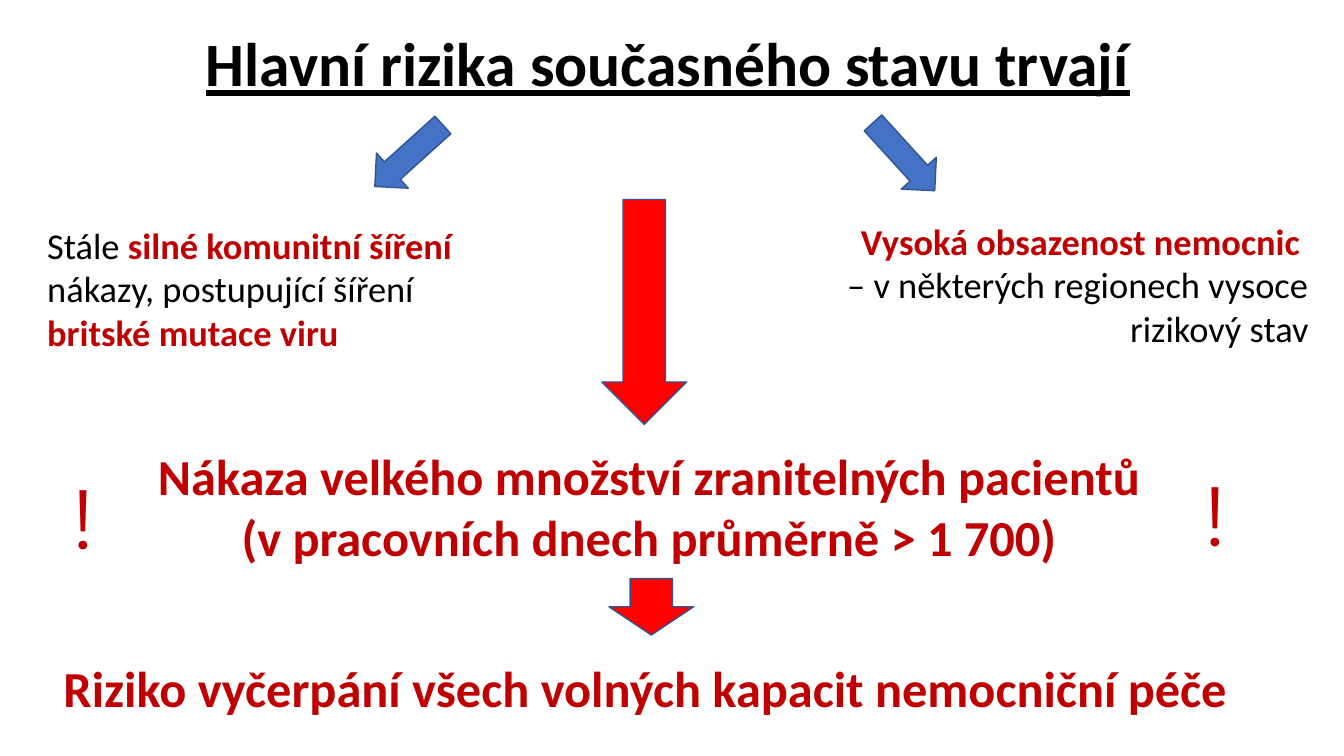
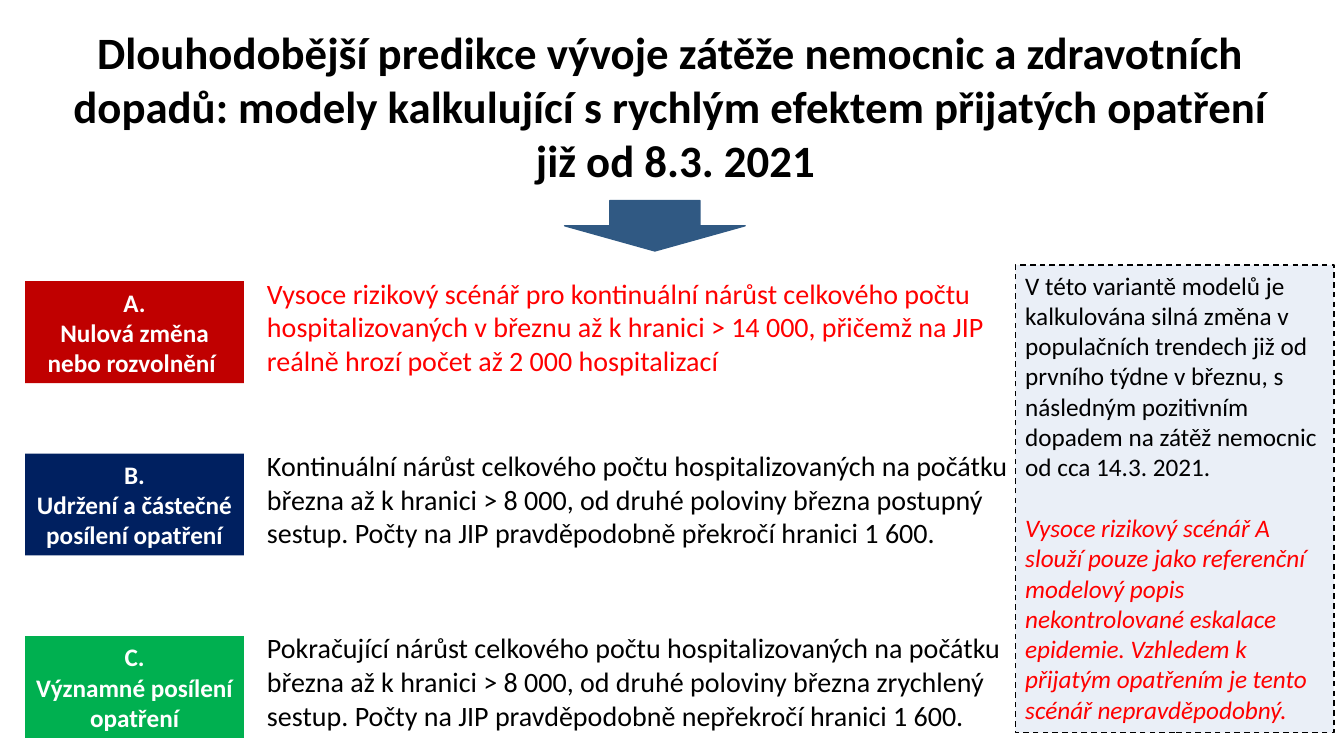
"""Build two slides on epidemic risks and hospital load scenarios."""
from pptx import Presentation
from pptx.dml.color import RGBColor
from pptx.enum.dml import MSO_LINE
from pptx.enum.shapes import MSO_SHAPE
from pptx.enum.text import MSO_ANCHOR, PP_ALIGN
from pptx.util import Inches, Pt

COLORS = {
    "black": "000000", "white": "FFFFFF", "dark red": "C00000", "red": "FF0000",
    "blue": "4472C4", "outline": "325491", "steel": "305983",
    "navy": "002060", "green": "00B050", "pale": "EAEFF7",
}
LEFT, CENTER, RIGHT = PP_ALIGN.LEFT, PP_ALIGN.CENTER, PP_ALIGN.RIGHT


def add_shape(slide, kind, box, fill, line=None):
    shape = slide.shapes.add_shape(kind, *map(Inches, box))
    shape.shadow.inherit = False
    shape.fill.solid()
    shape.fill.fore_color.rgb = RGBColor.from_string(COLORS[fill])
    if line:
        shape.line.color.rgb = RGBColor.from_string(COLORS[line])
        shape.line.width = Pt(1)
    else:
        shape.line.fill.background()
    return shape


def write_text(shape, paragraphs, size, align=LEFT, font="Calibri"):
    frame = shape.text_frame
    frame.word_wrap = True
    for index, runs in enumerate(paragraphs):
        paragraph = frame.add_paragraph() if index else frame.paragraphs[0]
        paragraph.alignment = align
        for text, color, style in runs:
            run = paragraph.add_run()
            run.text = text
            run.font.name = font
            run.font.size = Pt(size)
            run.font.color.rgb = RGBColor.from_string(COLORS[color])
            run.font.bold = "b" in style
            run.font.italic = "i" in style
            run.font.underline = "u" in style


presentation = Presentation()
presentation.slide_width = Inches(13.33)
presentation.slide_height = Inches(7.5)
blank = presentation.slide_layouts[6]

risks = presentation.slides.add_slide(blank)
risk_arrows = [
    ((3.82, 1.09, 0.47, 0.91), 47.9, "blue"),
    ((8.73, 1.1, 0.47, 0.91), 317.7, "blue"),
    ((5.97, 1.98, 0.84, 2.23), 0, "red"),
    ((6.04, 5.74, 0.84, 0.56), 0, "red"),
]
for box, rotation, color in risk_arrows:
    arrow = add_shape(risks, MSO_SHAPE.DOWN_ARROW, box, color, "outline")
    arrow.rotation = rotation

risk_texts = [
    ((0.17, 0.2, 12.91, 0.84), 44, CENTER,
     [[("Hlavní rizika současného stavu trvají", "black", "bu")]]),
    ((0.37, 2.16, 4.51, 1.41), 26, LEFT,
     [[("Stále ", "black", ""),
       ("silné komunitní šíření ", "dark red", "b"),
       ("nákazy, postupující šíření ", "black", ""),
       ("britské mutace viru", "dark red", "b")]]),
    ((7.75, 2.12, 5.33, 1.41), 26, RIGHT,
     [[("Vysoká obsazenost nemocnic ", "dark red", "b")],
      [("– v některých regionech vysoce rizikový stav", "black", "")]]),
    ((1.24, 4.37, 10.4, 1.31), 36, CENTER,
     [[("Nákaza velkého množství zranitelných pacientů "
        "(v pracovních dnech průměrně > 1 700)", "dark red", "b")]]),
    ((0.41, 6.47, 12.1, 0.71), 36, CENTER,
     [[("Riziko vyčerpání všech volných kapacit nemocniční péče ", "dark red", "b")]]),
]
for box, size, align, paragraphs in risk_texts:
    write_text(risks.shapes.add_textbox(*map(Inches, box)), paragraphs, size, align)

for left, top in [(0.41, 4.57), (11.64, 4.54)]:
    mark = risks.shapes.add_textbox(Inches(left), Inches(top), Inches(0.83), Inches(1.11))
    write_text(mark, [[("!", "dark red", "")]], 60, CENTER, "Montserrat")

outlook = presentation.slides.add_slide(blank)
title = outlook.shapes.add_textbox(Inches(0.15), Inches(0.2), Inches(13), Inches(1.72))
write_text(title, [
    [("Dlouhodobější predikce vývoje zátěže nemocnic a zdravotních dopadů: "
      "modely kalkulující s rychlým efektem přijatých opatření", "black", "b")],
    [(" již od 8.3. 2021", "black", "b")],
], 32, CENTER)
add_shape(outlook, MSO_SHAPE.DOWN_ARROW, (5.6, 1.99, 1.79, 0.5), "steel", "steel")

scenarios = [
    (2.79, "A.", "Nulová změna nebo rozvolnění ", "dark red", "red",
     "Vysoce rizikový scénář pro kontinuální nárůst celkového počtu "
     "hospitalizovaných v březnu až k hranici > 14 000, přičemž na JIP "
     "reálně hrozí počet až 2 000 hospitalizací"),
    (4.5, "B.", "Udržení a částečné posílení opatření", "navy", "black",
     "Kontinuální nárůst celkového počtu hospitalizovaných na počátku března "
     "až k hranici > 8 000, od druhé poloviny března postupný sestup. "
     "Počty na JIP pravděpodobně překročí hranici 1 600."),
    (6.31, "C.", "Významné posílení opatření", "green", "black",
     "Pokračující nárůst celkového počtu hospitalizovaných na počátku března "
     "až k hranici > 8 000, od druhé poloviny března zrychlený sestup. "
     "Počty na JIP pravděpodobně nepřekročí hranici 1 600."),
]
for top, letter, name, fill, color, description in scenarios:
    label = add_shape(outlook, MSO_SHAPE.RECTANGLE, (0.25, top, 2.17, 1.01), fill)
    write_text(label, [[(letter, "white", "b")], [(name, "white", "b")]], 18, CENTER)
    detail = outlook.shapes.add_textbox(
        Inches(2.55), Inches(top - 0.1), Inches(7.63), Inches(1.11))
    write_text(detail, [[(description, color, "")]], 20)

note = add_shape(outlook, MSO_SHAPE.RECTANGLE, (10.07, 2.63, 3.16, 4.64), "pale", "black")
note.line.dash_style = MSO_LINE.DASH
note.text_frame.vertical_anchor = MSO_ANCHOR.TOP
write_text(note, [
    [("V této variantě modelů je kalkulována silná změna v populačních trendech "
      "již od prvního týdne v březnu, s následným pozitivním dopadem na zátěž "
      "nemocnic od cca 14.3. 2021.", "black", "")],
    [("Vysoce rizikový scénář A slouží pouze jako referenční modelový popis "
      "nekontrolované eskalace epidemie. Vzhledem k přijatým opatřením je tento "
      "scénář nepravděpodobný.", "red", "i")],
], 18)
note.text_frame.paragraphs[1].space_before = Pt(22)

presentation.save("out.pptx")
